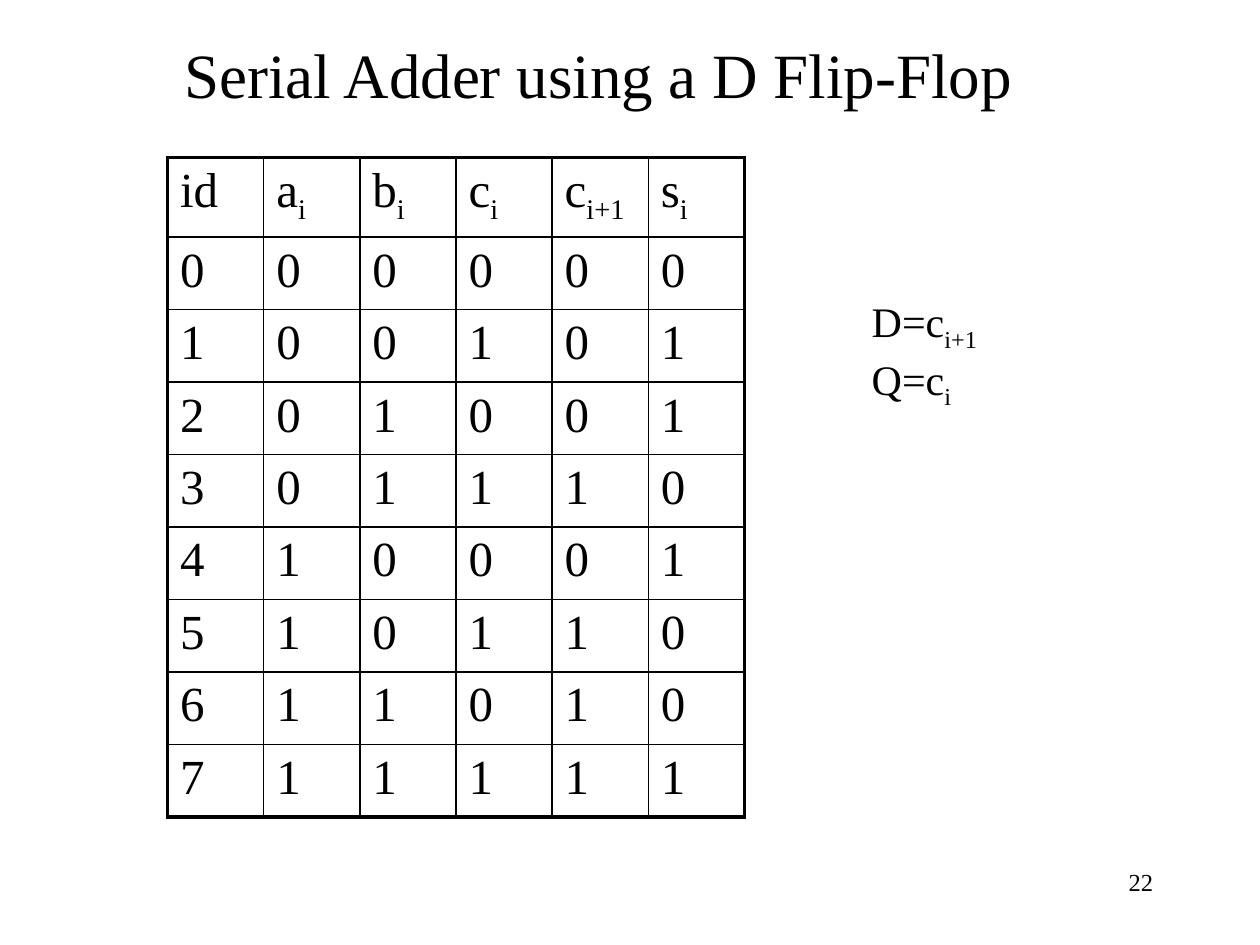
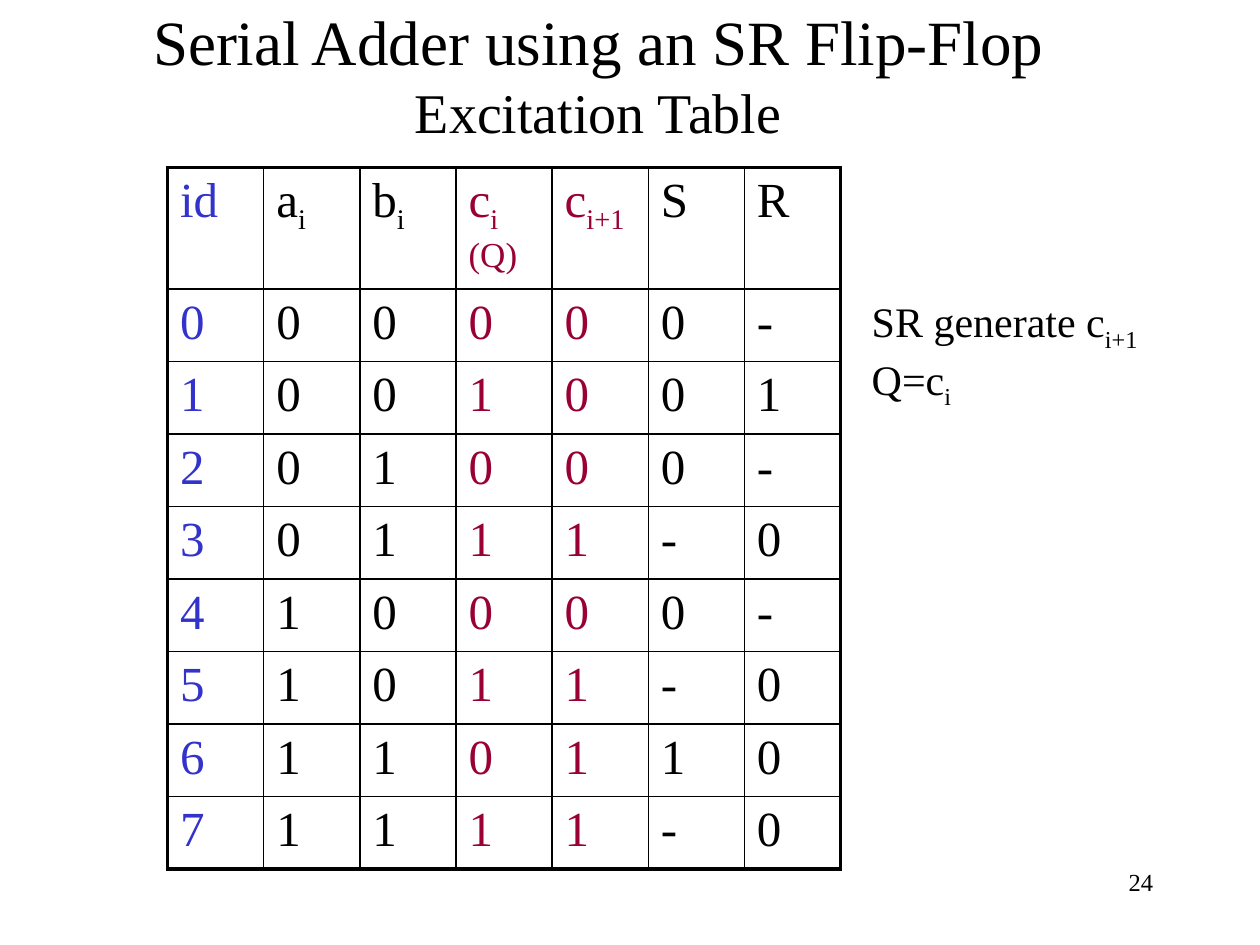
"""Build two slides on serial adders made with flip-flops."""
from dataclasses import dataclass
from typing import NamedTuple

from lxml.etree import SubElement
from pptx import Presentation
from pptx.dml.color import RGBColor
from pptx.enum.text import MSO_ANCHOR, MSO_AUTO_SIZE, PP_ALIGN
from pptx.oxml.ns import qn
from pptx.util import Inches, Pt

FONT = "Times New Roman"
HUES = {"ink": "000000", "blue": "3333CC", "red": "990033"}
WIDE = 4.58 / 6
HIGH = 5.18 / 9
THIN, THICK = 1, 2.25


class Piece(NamedTuple):
    """A run of text, with its own size or lowered as a subscript."""
    text: str
    size: int = 0
    low: bool = False


Line = list[Piece]


@dataclass
class Page:
    """What one slide shows."""
    title: list[Line]
    top: float
    heads: list[Line]
    rows: list[str]
    tints: dict[int, str]
    notes: list[Line]
    width: float
    number: int


def plain(text: str, size: int = 0) -> Line:
    """Return a line of one piece."""
    return [Piece(text, size)]


def sub(text: str, index: str) -> Line:
    """Return a line that ends in a subscript."""
    return [Piece(text), Piece(index, low=True)]


def style(para, size: int, hue: str = "ink", align=PP_ALIGN.LEFT) -> None:
    """Set the font and alignment of a paragraph."""
    para.alignment = align
    para.font.name = FONT
    para.font.size = Pt(size)
    para.font.color.rgb = RGBColor.from_string(HUES[hue])


def write(para, line: Line) -> None:
    """Add the pieces of a line to a paragraph."""
    for piece in line:
        run = para.add_run()
        run.text = piece.text
        if piece.size:
            run.font.size = Pt(piece.size)
        if piece.low:
            run._r.get_or_add_rPr().set("baseline", "-25000")


def add_box(slide, left: float, top: float, width: float, height: float):
    """Add a wrapping text box and return its frame."""
    box = slide.shapes.add_textbox(
        Inches(left), Inches(top), Inches(width), Inches(height))
    box.text_frame.word_wrap = True
    return box.text_frame


def add_title(slide, lines: list[Line]) -> None:
    """Add the centred title, one line under another."""
    frame = add_box(slide, 0.75, 0.25, 8, 0.67)
    frame.vertical_anchor = MSO_ANCHOR.MIDDLE
    para = frame.paragraphs[0]
    style(para, 36, align=PP_ALIGN.CENTER)
    for place, line in enumerate(lines):
        if place:
            para.add_line_break()
        write(para, line)


def add_notes(slide, lines: list[Line], width: float) -> None:
    """Add the equations beside the table."""
    frame = add_box(slide, 6.82, 2.3, width, 0.9)
    frame.word_wrap = False
    frame.auto_size = MSO_AUTO_SIZE.SHAPE_TO_FIT_TEXT
    for place, line in enumerate(lines):
        para = frame.add_paragraph() if place else frame.paragraphs[0]
        style(para, 24)
        write(para, line)


def add_number(slide, number: int) -> None:
    """Add the slide number."""
    para = add_box(slide, 7.17, 6.83, 2.08, 0.5).paragraphs[0]
    style(para, 14, align=PP_ALIGN.RIGHT)
    write(para, plain(str(number)))


def edge(cell, sides: dict[str, bool]) -> None:
    """Clear the fill and draw the borders, thick on outer sides."""
    cell.fill.background()
    props = cell._tc.get_or_add_tcPr()
    for place, (side, outer) in enumerate(sides.items()):
        width = Pt(THICK if outer else THIN)
        rule = SubElement(props, qn(f"a:ln{side}"), w=str(width))
        fill = SubElement(rule, qn("a:solidFill"))
        SubElement(fill, qn("a:srgbClr"), val=HUES["ink"])
        props.insert(place, rule)


def add_grid(slide, page: Page) -> None:
    """Add the truth table."""
    lines = [page.heads] + [[plain(c) for c in row] for row in page.rows]
    tall, wide = len(lines), len(page.heads)
    table = slide.shapes.add_table(
        tall, wide, Inches(1.33), Inches(page.top),
        Inches(WIDE * wide), Inches(HIGH * tall)).table
    table.first_row = table.horz_banding = False
    for y, line in enumerate(lines):
        for x, text in enumerate(line):
            cell = table.cell(y, x)
            para = cell.text_frame.paragraphs[0]
            style(para, 28, page.tints.get(x, "ink"))
            write(para, text)
            edge(cell, {"L": x == 0, "R": x == wide - 1,
                        "T": y == 0, "B": y == tall - 1})


PAGES = [
    Page(
        title=[plain("Serial Adder using a D Flip-Flop")],
        top=1.25,
        heads=[plain("id"), sub("a", "i"), sub("b", "i"), sub("c", "i"),
               sub("c", "i+1"), sub("s", "i")],
        rows=["000000", "100101", "201001", "301110",
              "410001", "510110", "611010", "711111"],
        tints={},
        notes=[sub("D=c", "i+1"), sub("Q=c", "i")],
        width=1.08,
        number=22),
    Page(
        title=[plain("Serial Adder using an SR Flip-Flop"),
               plain("Excitation Table", 32)],
        top=1.33,
        heads=[plain("id"), sub("a", "i"), sub("b", "i"),
               sub("c", "i ") + plain("(Q)", 20), sub("c", "i+1"),
               plain("S"), plain("R")],
        rows=["000000-", "1001001", "201000-", "30111-0",
              "410000-", "51011-0", "6110110", "71111-0"],
        tints={0: "blue", 3: "red", 4: "red"},
        notes=[sub("SR generate c", "i+1"), sub("Q=c", "i")],
        width=2.35,
        number=24),
]


def main() -> None:
    """Build and save the slides."""
    deck = Presentation()
    deck.slide_width, deck.slide_height = Inches(10), Inches(7.5)
    for page in PAGES:
        slide = deck.slides.add_slide(deck.slide_layouts[6])
        add_number(slide, page.number)
        add_title(slide, page.title)
        add_grid(slide, page)
        add_notes(slide, page.notes, page.width)
    deck.save("out.pptx")


main()
